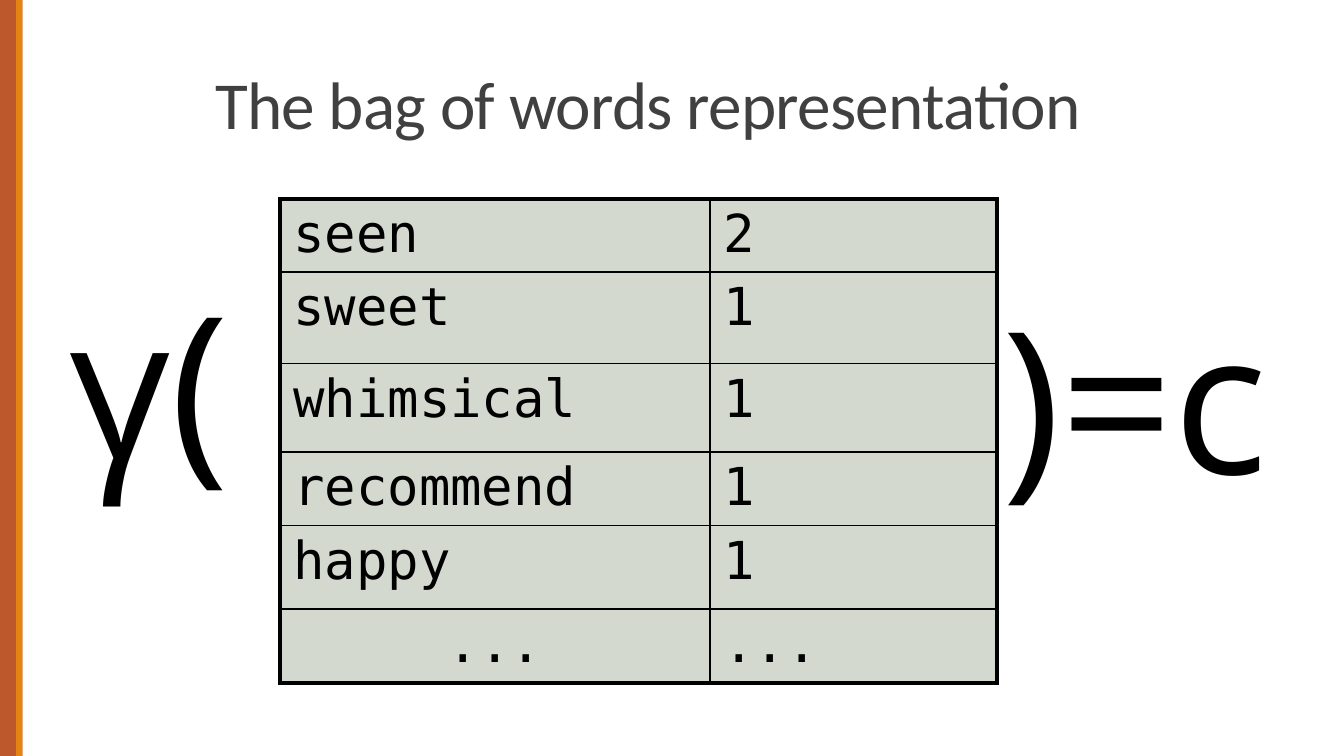
"""Build a slide that shows a bag of words as the input of a classifier."""
from dataclasses import dataclass

import lxml.etree
import pptx
import pptx.dml.color
import pptx.enum.shapes
import pptx.enum.text
import pptx.oxml.ns
import pptx.util

RGBColor = pptx.dml.color.RGBColor
Align = pptx.enum.text.PP_ALIGN
Anchor = pptx.enum.text.MSO_ANCHOR

BLACK = RGBColor(0x00, 0x00, 0x00)
GRAY = RGBColor(0x40, 0x40, 0x40)
SAGE = RGBColor(0xD4, 0xD9, 0xCF)
RUST = RGBColor(0xBD, 0x58, 0x2C)
AMBER = RGBColor(0xE4, 0x83, 0x12)

COLS, ROWS = 24, 13.5
UNIT = pptx.util.Inches(10) / COLS
THICK, THIN = 2.25, 1


@dataclass(frozen=True)
class Box:
    left: float
    top: float
    width: float
    height: float

    def place(self) -> tuple[int, ...]:
        return tuple(span(n) for n in (self.left, self.top, self.width, self.height))


@dataclass(frozen=True)
class Strip:
    box: Box
    fill: RGBColor


@dataclass(frozen=True)
class Label:
    box: Box
    text: str
    wrap: bool


@dataclass(frozen=True)
class Entry:
    word: str
    count: str
    height: float
    align: Align = Align.LEFT


STRIPS = (
    Strip(Box(0, 0, 0.4, ROWS), RUST),
    Strip(Box(0.29, 0, 0.11, ROWS), AMBER),
)
LABELS = (
    Label(Box(1, 4.56, 4.2, 8.8), "γ(", True),
    Label(Box(17.66, 4.82, 5.74, 4.51), ")=c", False),
)
ENTRIES = (
    Entry("seen", "2", 1.13),
    Entry("sweet", "1", 1.63),
    Entry("whimsical", "1", 1.58),
    Entry("recommend", "1", 1.08),
    Entry("happy", "1", 1.49),
    Entry("...", "...", 1.32, Align.CENTER),
)
WIDTHS = (7.68, 5.12)
TITLE = Box(3.6, 0.74, 19.6, 1.94)
BAG = Box(5, 3.55, sum(WIDTHS), 8.6)


def span(units: float) -> int:
    return round(units * UNIT)


def write(frame, text: str, *, font: str, size: float, color: RGBColor = BLACK,
          align: Align = Align.LEFT, line: float | None = None, kern: int = 0) -> None:
    para = frame.paragraphs[0]
    para.alignment = align
    para.line_spacing = line
    run = para.add_run()
    run.text = text
    run.font.name = font
    run.font.size = pptx.util.Pt(size)
    run.font.color.rgb = color
    if kern:
        run.font._element.set("spc", str(kern))


def draw_rect(slide, box: Box, fill: RGBColor, edge: float = 0) -> None:
    rect = slide.shapes.add_shape(pptx.enum.shapes.MSO_SHAPE.RECTANGLE, *box.place())
    rect.shadow.inherit = False
    rect.fill.solid()
    rect.fill.fore_color.rgb = fill
    if edge:
        rect.line.color.rgb = BLACK
        rect.line.width = pptx.util.Pt(edge)
    else:
        rect.line.fill.background()


def draw_title(slide) -> None:
    title = slide.shapes.title
    title.left, title.top, title.width, title.height = TITLE.place()
    title.text_frame.vertical_anchor = Anchor.BOTTOM
    write(title.text_frame, "The bag of words representation", font="Calibri",
          size=36, color=GRAY, line=0.85, kern=-40)


def draw_label(slide, label: Label) -> None:
    frame = slide.shapes.add_textbox(*label.box.place()).text_frame
    frame.word_wrap = label.wrap
    frame.auto_size = pptx.enum.text.MSO_AUTO_SIZE.SHAPE_TO_FIT_TEXT
    write(frame, label.text, font="Open Sans", size=106)


def edge_cell(cell, edges: dict[str, float]) -> None:
    props = cell._tc.get_or_add_tcPr()
    qn = pptx.oxml.ns.qn
    for spot, (side, width) in enumerate(edges.items()):
        line = lxml.etree.Element(qn(f"a:ln{side}"), w=str(pptx.util.Pt(width)))
        fill = lxml.etree.SubElement(line, qn("a:solidFill"))
        lxml.etree.SubElement(fill, qn("a:srgbClr"), val=str(BLACK))
        props.insert(spot, line)


def draw_table(slide) -> None:
    table = slide.shapes.add_table(len(ENTRIES), len(WIDTHS), *BAG.place()).table
    table.first_row = table.horz_banding = False
    for col, width in zip(table.columns, WIDTHS):
        col.width = span(width)
    last = len(ENTRIES) - 1
    for row, entry in enumerate(ENTRIES):
        table.rows[row].height = span(entry.height)
        pairs = ((entry.word, entry.align), (entry.count, Align.LEFT))
        for col, (text, align) in enumerate(pairs):
            cell = table.cell(row, col)
            cell.margin_top = cell.margin_bottom = pptx.util.Inches(0.04)
            cell.fill.solid()
            cell.fill.fore_color.rgb = SAGE
            write(cell.text_frame, text, font="DejaVu Sans Mono", size=28, align=align)
            outer = {"L": col == 0, "R": col == 1, "T": row == 0, "B": row == last}
            edge_cell(cell, {side: THICK if out else THIN for side, out in outer.items()})


def main() -> None:
    deck = pptx.Presentation()
    deck.slide_width, deck.slide_height = span(COLS), span(ROWS)
    slide = deck.slides.add_slide(deck.slide_layouts[5])
    for strip in STRIPS:
        draw_rect(slide, strip.box, strip.fill)
    draw_title(slide)
    draw_rect(slide, BAG, SAGE, THICK)
    for label in LABELS:
        draw_label(slide, label)
    draw_table(slide)
    deck.save("out.pptx")


if __name__ == "__main__":
    main()
